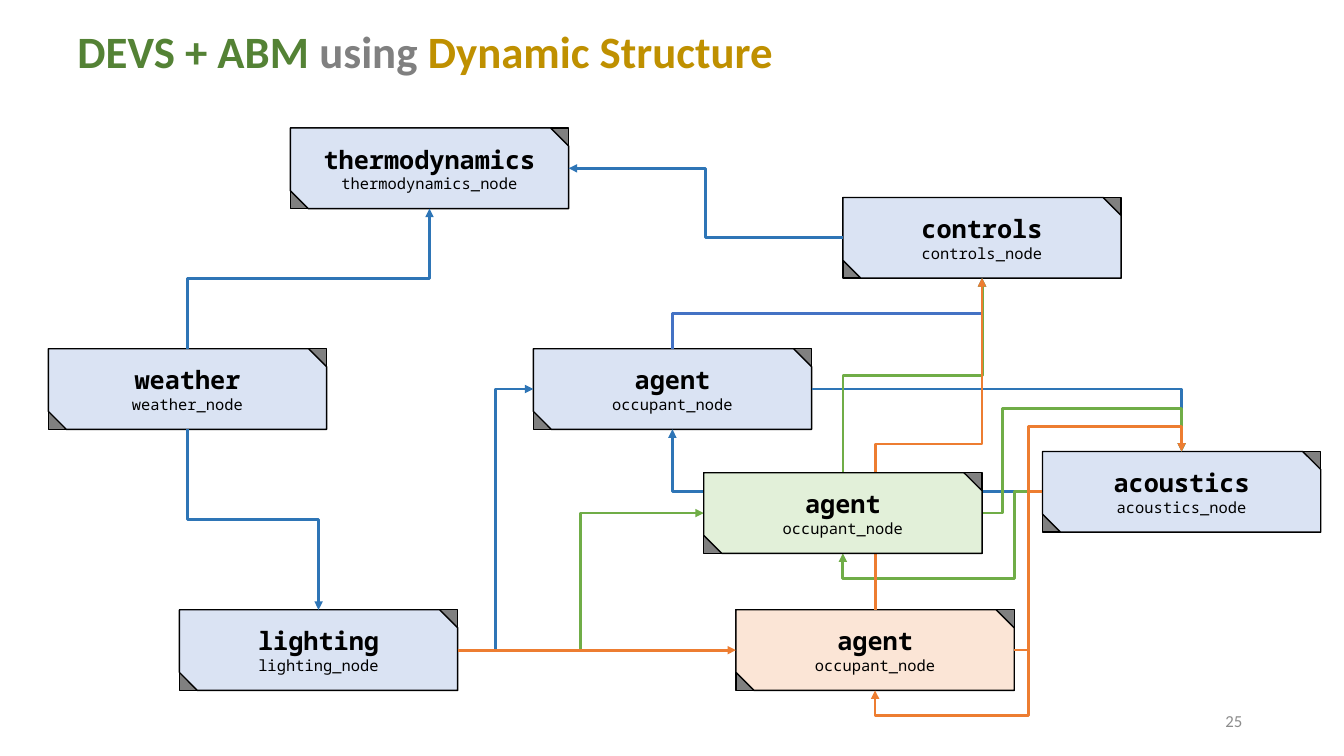
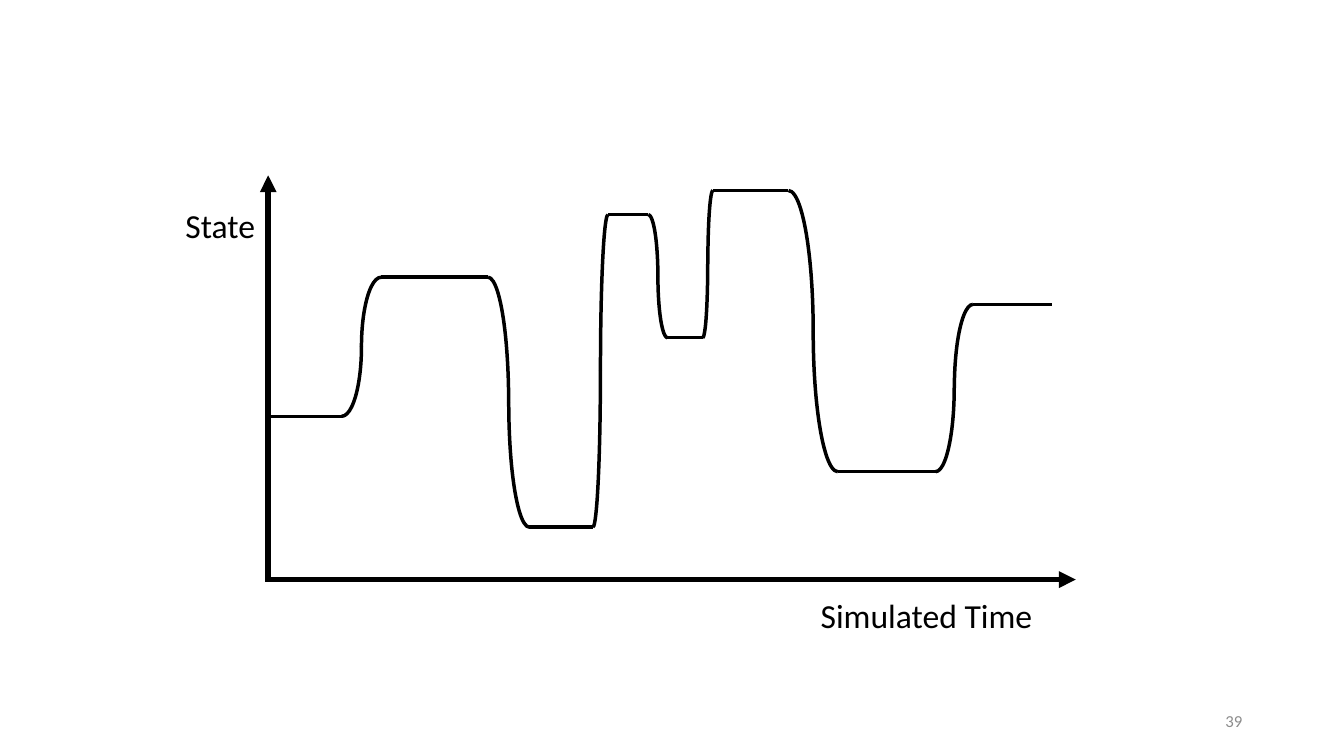
from itertools import pairwise

from lxml import etree
from pptx import Presentation
from pptx.dml.color import RGBColor as RGB
from pptx.enum.shapes import MSO_CONNECTOR as LINK, MSO_SHAPE as FORM
from pptx.enum.text import MSO_ANCHOR as ANCHOR, PP_ALIGN as ALIGN
from pptx.oxml.ns import qn
from pptx.util import Inches, Pt

HUES = {
    "black": "000000", "gray": "808080", "page": "8C8C8C",
    "moss": "548235", "gold": "BF9000",
    "blue": "2E75B6", "royal": "4472C4", "green": "70AD47", "orange": "ED7D31",
    "sky": "DAE3F3", "mint": "E2F0D9", "peach": "FBE5D6",
}
SANS, MONO = "Calibri", "Noto Sans Mono"
WIDE, HIGH = 2.76, 0.8  # node size


def hue(name):
    return RGB.from_string(HUES[name])


def write(para, text, size=12, color="black", bold=False, font=SANS):
    run = para.add_run()
    run.text = text
    run.font.size, run.font.bold, run.font.name = Pt(size), bold, font
    run.font.color.rgb = hue(color)


def side(node, edge):
    """Middle of the left, right, top or bottom edge of a node."""
    dx, dy = {"l": (0, 0.5), "r": (1, 0.5), "t": (0.5, 0), "b": (0.5, 1)}[edge]
    return node[0] + dx * WIDE, node[1] + dy * HIGH


class Deck:
    def __init__(self):
        self.prs = Presentation()
        self.prs.slide_width, self.prs.slide_height = Inches(13.33), Inches(7.5)

    def page(self, num):
        self.slide = self.prs.slides.add_slide(self.prs.slide_layouts[6])
        para = self.text(9.42, 6.95, 3, 0.4, anchor=ANCHOR.MIDDLE)
        para.alignment = ALIGN.RIGHT
        write(para, str(num), color="page")

    def text(self, x, y, w, h, anchor=ANCHOR.TOP, wrap=True):
        box = self.slide.shapes.add_textbox(*map(Inches, (x, y, w, h)))
        box.text_frame.word_wrap = wrap
        box.text_frame.vertical_anchor = anchor
        return box.text_frame.paragraphs[0]

    def title(self, *parts):
        para = self.text(0.67, 0.17, 8.09, 0.74, anchor=ANCHOR.MIDDLE)
        para.line_spacing = 0.9
        for text, color in parts:
            write(para, text, size=32, color=color, bold=True)

    def shape(self, form, x, y, w, h, fill=None, width=1, home=None):
        home = home or self.slide
        item = home.shapes.add_shape(form, *map(Inches, (x, y, w, h)))
        item.shadow.inherit = False
        if fill:
            item.fill.solid()
            item.fill.fore_color.rgb = hue(fill)
        else:
            item.fill.background()
        item.line.color.rgb = hue("black")
        item.line.width = Pt(width)
        return item

    def node(self, spot, name, sub, fill="sky"):
        group = self.slide.shapes.add_group_shape()
        self.shape(FORM.RECTANGLE, *spot, WIDE, HIGH, "gray", home=group)
        card = self.shape(FORM.SNIP_2_DIAG_RECTANGLE, *spot, WIDE, HIGH, fill, home=group)
        card.adjustments[0], card.adjustments[1] = 0, 0.223
        frame = card.text_frame
        frame.vertical_anchor = ANCHOR.MIDDLE
        lines = (name, 18, True), (sub + "_node", 11, False)
        for para, (text, size, bold) in zip((frame.paragraphs[0], frame.add_paragraph()), lines):
            para.alignment = ALIGN.CENTER
            write(para, text, size=size, bold=bold, font=MONO)

    def line(self, start, end, color="black", width=2.5, arrow=False, kind=LINK.STRAIGHT):
        item = self.slide.shapes.add_connector(kind, *map(Inches, (*start, *end)))
        item.line.color.rgb = hue(color)
        item.line.width = Pt(width)
        if arrow:
            etree.SubElement(item.line._get_or_add_ln(), qn("a:tailEnd"), type="triangle")
        etree.SubElement(item._element.spPr, qn("a:effectLst"))
        return item

    def bend(self, start, end, color, adj=(0.5,), down=False):
        """Elbow arrow; down means that it leaves its start vertically."""
        if down:  # lay it out sideways around its middle, then turn it
            (x1, y1), (x2, y2) = start, end
            mx, my, dx, dy = (x1 + x2) / 2, (y1 + y2) / 2, (x2 - x1) / 2, (y2 - y1) / 2
            start, end = (mx - dy, my + dx), (mx + dy, my - dx)
        item = self.line(start, end, color, 2, arrow=True, kind=LINK.ELBOW)
        props = item._element.spPr
        if down:
            props.find(qn("a:xfrm")).set("rot", str(90 * 60000))
        geom = props.find(qn("a:prstGeom"))
        geom.set("prst", f"bentConnector{len(adj) + 2}")
        guides = geom.find(qn("a:avLst"))
        for i, part in enumerate(adj, 1):
            name = "adj" if len(adj) == 1 else f"adj{i}"
            name = "adj1" if len(adj) == 1 else name
            etree.SubElement(guides, qn("a:gd"), name=name, fmla=f"val {round(part * 100000)}")

    def step(self, x1, y1, x2, y2):
        """S curve made of two quarter arcs."""
        wide = x2 - x1
        for left, turn in ((x1 - wide / 2, 0), (x1 + wide / 2, 180)):
            arc = self.shape(FORM.ARC, left, min(y1, y2), wide, abs(y2 - y1), width=2.5)
            arc.rotation = turn
            if y2 < y1:
                arc._element.spPr.find(qn("a:xfrm")).set("flipV", "1")


def flow(deck):
    deck.page(25)
    spots = {
        "thermodynamics": (2.88, 1.27), "acoustics": (10.34, 4.48),
        "lighting": (1.78, 6.05), "agent": (5.29, 3.46),
        "controls": (8.36, 1.96), "weather": (0.48, 3.46),
    }
    for name, spot in spots.items():
        deck.node(spot, name, "occupant" if name == "agent" else name)
    spots |= {"mint": (6.98, 4.69), "peach": (7.3, 6.05)}

    def join(head, out, tail, into, color, *adj, bent=3):
        adj = adj or ((0.5,) if bent == 3 else ())
        deck.bend(side(spots[head], out), side(spots[tail], into), color, adj, out in "tb")

    # Base model
    join("agent", "t", "controls", "b", "royal")
    join("controls", "l", "thermodynamics", "r", "blue")
    join("weather", "t", "thermodynamics", "b", "blue")
    join("weather", "b", "lighting", "t", "blue")
    join("lighting", "r", "agent", "l", "blue")
    join("agent", "r", "acoustics", "t", "blue", bent=2)
    join("acoustics", "l", "agent", "b", "blue", bent=2)

    # Agents added later
    def attach(name, color, out, back):
        join(name, "t", "controls", "b", color)
        join("lighting", "r", name, "l", color)
        join(name, "r", "acoustics", "t", color, *out)
        join("acoustics", "l", name, "b", color, *back)

    attach("mint", "green", (0.101, 1.697), (0.139, 1.406))
    deck.node(spots["peach"], "agent", "occupant", "peach")
    attach("peach", "orange", (0.084, 1.127), (0.084, 1.127))
    deck.node(spots["mint"], "agent", "occupant", "mint")

    deck.title(("DEVS + ABM", "moss"), (" using ", "gray"), ("Dynamic Structure", "gold"))


def graph(deck):
    deck.page(39)
    # Axes
    deck.line((2.64, 5.75), (10.67, 5.75), width=4, arrow=True)
    deck.line((2.66, 5.77), (2.66, 1.74), width=4, arrow=True)
    # Each state: from, to, level
    states = [
        (2.66, 3.39, 4.13), (3.78, 4.84, 2.75), (5.25, 5.88, 5.23), (6.03, 6.43, 2.13),
        (6.62, 6.97, 3.35), (7.07, 7.82, 1.89), (8.31, 9.28, 4.68), (9.65, 10.43, 3.02),
    ]
    for (_, x1, y1), (x2, _, y2) in pairwise(states):
        deck.step(x1, y1, x2, y2)
    for x1, x2, y in states:
        deck.line((x1, y), (x2, y))
    # Axis names
    for text, x, y, w in (("Simulated Time", 8.04, 5.85, 2.32), ("State", 1.74, 1.98, 0.9)):
        write(deck.text(x, y, w, 0.5, wrap=False), text, size=24)


def main():
    deck = Deck()
    flow(deck)
    graph(deck)
    deck.prs.save("out.pptx")


if __name__ == "__main__":
    main()
